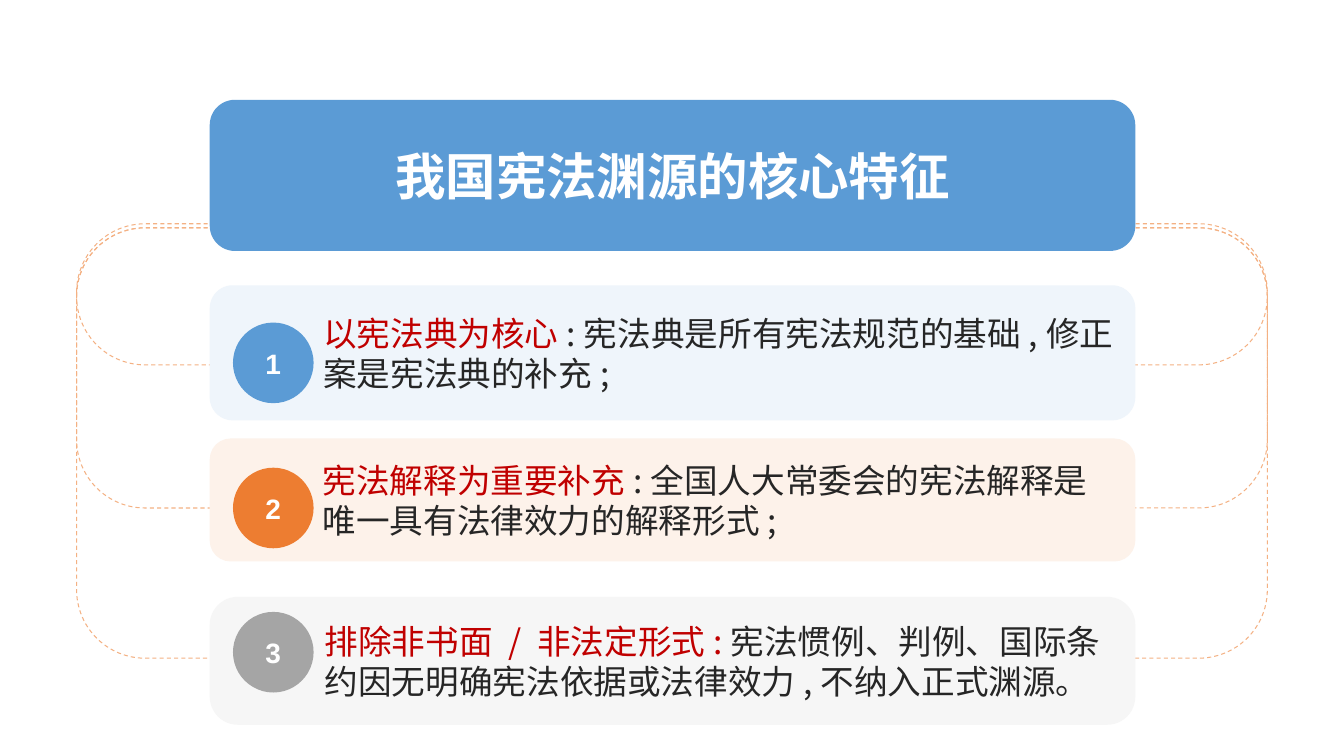
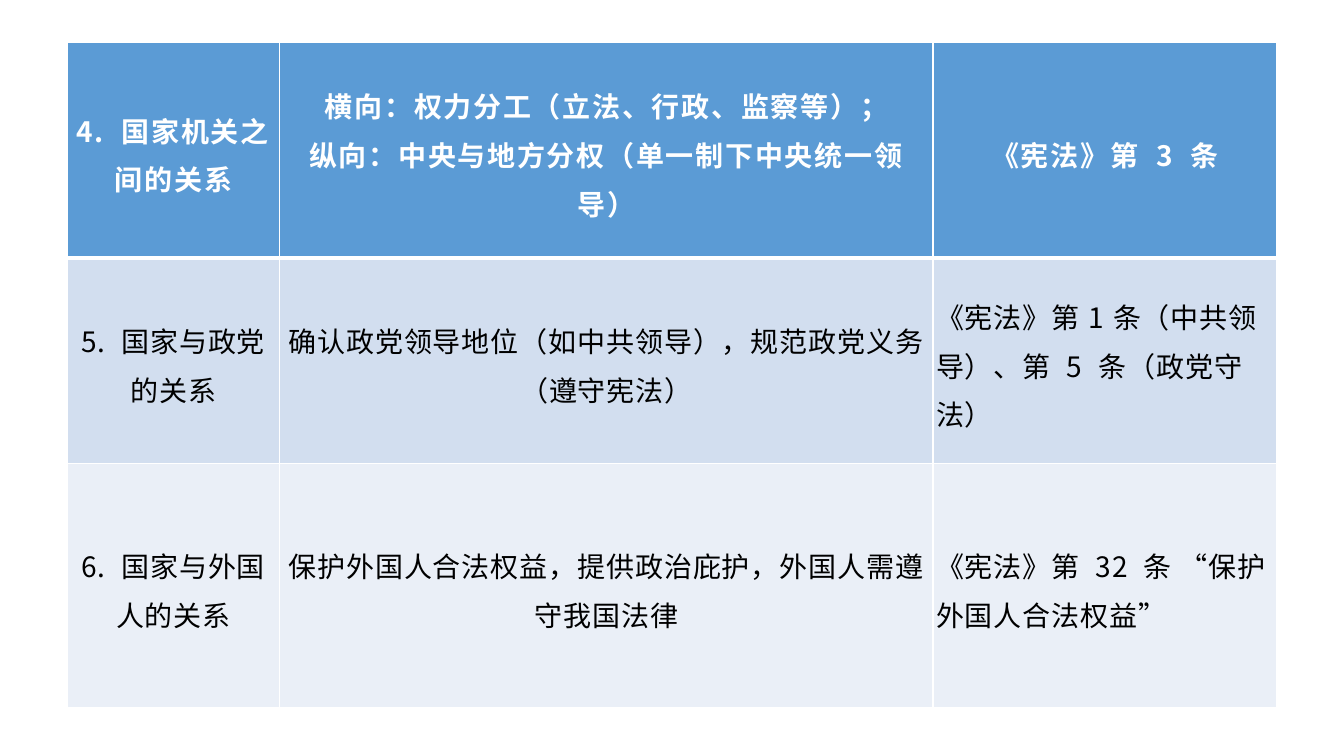
from dataclasses import dataclass

from lxml import etree
from pptx import Presentation
from pptx.dml.color import RGBColor
from pptx.enum.dml import MSO_LINE
from pptx.enum.shapes import MSO_SHAPE
from pptx.enum.text import MSO_ANCHOR, PP_ALIGN
from pptx.oxml.ns import qn
from pptx.util import Inches, Pt

ROUNDED = MSO_SHAPE.ROUNDED_RECTANGLE
OVAL = MSO_SHAPE.OVAL
DASH = MSO_LINE.DASH
MIDDLE = MSO_ANCHOR.MIDDLE
LEFT = PP_ALIGN.LEFT
CENTER = PP_ALIGN.CENTER

COLORS = {
    "blue": "5B9BD5",
    "orange": "ED7D31",
    "gray": "A5A5A5",
    "pale_blue": "EFF5FB",
    "pale_orange": "FDF2EA",
    "pale_gray": "F6F6F6",
    "loop": "F4B183",
    "key": "C00000",
    "body": "262626",
    "black": "000000",
    "white": "FFFFFF",
    "band_dark": "D2DEEF",
    "band_light": "EAEFF7",
}
LATIN_FONT = "Arial"
CHINESE_FONT = "Noto Sans CJK SC"

HEADING = "我国宪法渊源的核心特征"
LOOPS = [(20.48, 21.94), (20.48, 44.84), (19.84, 69.52)]
LOOP_RADIUS = 0.68
CARDS = [
    (29.68, 21.61, 27.61, 0.17, "pale_blue", "blue",
     "以宪法典为核心", ":宪法典是所有宪法规范的基础,修正案是宪法典的补充;"),
    (54.19, 19.68, 23.77, 0.17, "pale_orange", "orange",
     "宪法解释为重要补充", ":全国人大常委会的宪法解释是唯一具有法律效力的解释形式;"),
    (79.52, 20.48, 11.81, 0.22, "pale_gray", "gray",
     "排除非书面 / 非法定形式:", "宪法惯例、判例、国际条约因无明确宪法依据或法律效力,不纳入正式渊源。"),
]

RELATIONS = [
    ["4. 国家机关之间的关系",
     "横向：权力分工（立法、行政、监察等）；\n纵向：中央与地方分权（单一制下中央统一领导）",
     "《宪法》第 3 条"],
    ["5. 国家与政党的关系",
     "确认政党领导地位（如中共领导），规范政党义务（遵守宪法）",
     "《宪法》第1条（中共领导）、第 5 条（政党守法）"],
    ["6. 国家与外国人的关系",
     "保护外国人合法权益，提供政治庇护，外国人需遵守我国法律",
     "《宪法》第 32 条 “保护外国人合法权益”"],
]
COLUMN_SHARES = [17.58, 54, 28.42]
ROW_SHARES = [32.42, 30.91, 36.67]
ROW_FILLS = ["blue", "band_dark", "band_light"]


@dataclass
class Box:
    left: float
    top: float
    width: float
    height: float

    def area(self, left, top, width, height):
        return Box(self.left + self.width * left / 100,
                   self.top + self.height * top / 100,
                   self.width * width / 100,
                   self.height * height / 100)

    def lengths(self):
        return [Inches(side) for side in
                (self.left, self.top, self.width, self.height)]


SLIDE = Box(0, 0, 13.33, 7.5)


def color(name):
    return RGBColor.from_string(COLORS[name])


def style_run(span, size, shade, font=CHINESE_FONT, bold=False, spacing=None):
    span.font.size = Pt(size)
    span.font.bold = bold
    span.font.color.rgb = color(shade)
    span.font.name = font
    props = span._r.get_or_add_rPr()
    etree.SubElement(props, qn("a:ea")).set("typeface", CHINESE_FONT)
    if spacing:
        props.set("spc", str(round(spacing * 100)))


def add_panel(page, kind, box, fill=None, corner=None):
    panel = page.shapes.add_shape(kind, *box.lengths())
    panel.shadow.inherit = False
    if corner is not None:
        panel.adjustments[0] = corner
    if fill:
        panel.fill.solid()
        panel.fill.fore_color.rgb = color(fill)
        panel.line.fill.background()
    else:
        panel.fill.background()
    return panel


def add_loop(page, box):
    loop = add_panel(page, ROUNDED, box, corner=LOOP_RADIUS / box.height)
    loop.line.color.rgb = color("loop")
    loop.line.width = Pt(0.75)
    loop.line.dash_style = DASH


def add_label(page, kind, box, fill, text, size, wrap=True):
    label = add_panel(page, kind, box, fill)
    frame = label.text_frame
    frame.text = text
    frame.word_wrap = wrap
    frame.vertical_anchor = MIDDLE
    para = frame.paragraphs[0]
    para.alignment = CENTER
    style_run(para.runs[0], size, "white", LATIN_FONT, bold=True)


def add_card(page, box, number, badge_top, corner, fill, accent, key, detail):
    card = add_panel(page, ROUNDED, box, fill, corner)
    frame = card.text_frame
    frame.word_wrap = True
    frame.vertical_anchor = MIDDLE
    frame.margin_left = Inches(1.06)
    para = frame.paragraphs[0]
    para.alignment = LEFT
    for text, shade in ((key, "key"), (detail, "body")):
        span = para.add_run()
        span.text = text
        style_run(span, 24, shade)
    badge = box.area(2.51, badge_top, 8.71, 0)
    badge.height = badge.width
    add_label(page, OVAL, badge, accent, str(number), 20, wrap=False)


def build_features(page, box):
    for top, height in LOOPS:
        add_loop(page, box.area(0, top, 100, height))
    for number, (top, height, *content) in enumerate(CARDS, 1):
        add_card(page, box.area(11.18, top, 77.73, height), number, *content)
    add_label(page, ROUNDED, box.area(11.18, 0, 77.73, 24.19), "blue", HEADING, 36)


def set_borders(cell, top, bottom):
    props = cell._tc.get_or_add_tcPr()
    sides = {"a:lnL": 1, "a:lnR": 1, "a:lnT": top, "a:lnB": bottom}
    for position, (tag, width) in enumerate(sides.items()):
        line = etree.Element(qn(tag), w=str(Pt(width)))
        fill = etree.SubElement(line, qn("a:solidFill"))
        etree.SubElement(fill, qn("a:srgbClr")).set("val", COLORS["white"])
        props.insert(position, line)


def fill_cell(cell, text, row, column):
    header = row == 0
    cell.fill.solid()
    cell.fill.fore_color.rgb = color(ROW_FILLS[row])
    set_borders(cell, 3 if row == 1 else 1, 3 if header else 1)
    cell.vertical_anchor = MIDDLE
    cell.margin_left = cell.margin_right = Inches(0.03)
    cell.margin_top = cell.margin_bottom = Inches(0.03)
    cell.text_frame.text = text
    for para in cell.text_frame.paragraphs:
        para.alignment = CENTER if header or column < 2 else LEFT
        para.line_spacing = 1.2
        style_run(para.runs[0], 20, "white" if header else "black",
                  bold=header, spacing=1.2 if header else 0.6)


def build_relations(page, box):
    table = page.shapes.add_table(
        len(ROW_SHARES), len(COLUMN_SHARES), *box.lengths()).table
    for column, share in zip(table.columns, COLUMN_SHARES):
        column.width = Inches(box.width * share / 100)
    for row, share in zip(table.rows, ROW_SHARES):
        row.height = Inches(box.height * share / 100)
    for row, texts in enumerate(RELATIONS):
        for column, text in enumerate(texts):
            fill_cell(table.cell(row, column), text, row, column)


def main():
    deck = Presentation()
    deck.slide_width = Inches(SLIDE.width)
    deck.slide_height = Inches(SLIDE.height)
    blank = deck.slide_layouts[6]
    build_features(deck.slides.add_slide(blank),
                   SLIDE.area(5.7, 13.2, 88.6, 82.67))
    build_relations(deck.slides.add_slide(blank),
                    SLIDE.area(5, 5.6, 90, 88))
    deck.save("out.pptx")


if __name__ == "__main__":
    main()
